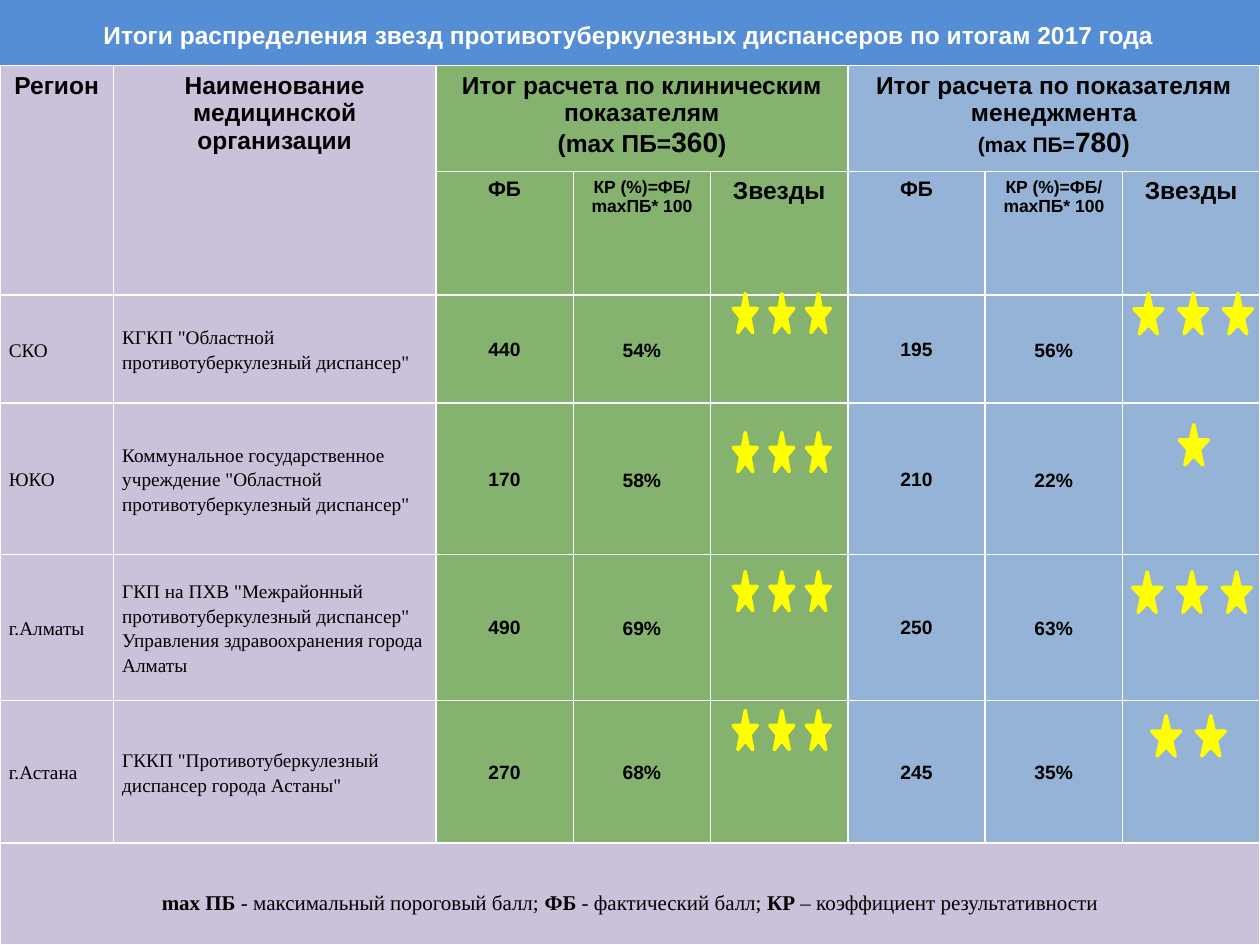
from lxml import etree
from pptx import Presentation, util as u
from pptx.dml.color import RGBColor
from pptx.enum import shapes, text
from pptx.oxml.ns import qn

COLORS = {"title": "558ED5", "region": "CCC1DA", "clinical": "85B26E",
          "management": "95B3D7", "star": "FFFF00", "white": "FFFFFF", "black": "000000"}
COLUMN_COLORS = ["region"] * 2 + ["clinical"] * 3 + ["management"] * 3

# Grid of 1000 columns by 750 rows; every length below counts its units
GRID_COLUMNS, GRID_ROWS = 1000, 750
COLUMN_WIDTHS = [90, 256] + [109] * 6
ROW_HEIGHTS = [84, 98, 86, 120, 116, 113, 81]

# Cell margins: left, top, right, bottom
HEADER_MARGINS = (10, 5, 10, 5)
TEXT_MARGINS = (7, 0, 7, 0)
SCORE_MARGINS = (1, 1, 1, 0)
LEGEND_MARGINS = (7, 13, 7, 0)

# Region, organisation, clinical score and share, management score and share
DISPENSARIES = [
    ("СКО", 'КГКП "Областной противотуберкулезный диспансер"', "440", "54%", "195", "56%"),
    ("ЮКО", 'Коммунальное государственное учреждение "Областной '
            'противотуберкулезный диспансер"', "170", "58%", "210", "22%"),
    ("г.Алматы", 'ГКП на ПХВ "Межрайонный противотуберкулезный диспансер" '
                 'Управления здравоохранения города Алматы', "490", "69%", "250", "63%"),
    ("г.Астана", 'ГККП "Противотуберкулезный диспансер города Астаны"',
     "270", "68%", "245", "35%"),
]
# Management stars: left, top, count
MANAGEMENT_STARS = [(900, 233, 3), (936, 337, 1), (899, 454, 3), (914, 568, 2)]


class RatingSlide:
    def __init__(self, prs):
        self.slide = prs.slides.add_slide(prs.slide_layouts[5])
        self.unit_x = prs.slide_width / GRID_COLUMNS
        self.unit_y = prs.slide_height / GRID_ROWS

    def x(self, columns):
        return u.Emu(round(columns * self.unit_x))

    def y(self, rows):
        return u.Emu(round(rows * self.unit_y))

    def box(self, left, top, width, height):
        return self.x(left), self.y(top), self.x(width), self.y(height)

    def paint(self, target, color):
        target.fill.solid()
        target.fill.fore_color.rgb = RGBColor.from_string(COLORS[color])

    def add_text(self, frame, paragraphs, size, font="Arial", bold=True, color="black",
                 align=text.PP_ALIGN.CENTER, spacing=None):
        """Each paragraph is a list of (words, size or None, bold or None)."""
        for index, parts in enumerate(paragraphs):
            paragraph = frame.paragraphs[0] if index == 0 else frame.add_paragraph()
            paragraph.alignment = align
            if spacing:
                paragraph.line_spacing = spacing
            for words, own_size, own_bold in parts:
                run = paragraph.add_run()
                run.text = words
                run.font.size = u.Pt(own_size or size)
                run.font.name = font
                run.font.bold = bold if own_bold is None else own_bold
                run.font.color.rgb = RGBColor.from_string(COLORS[color])

    def title(self, words, *place):
        title = self.slide.shapes.title
        title.left, title.top, title.width, title.height = self.box(*place)
        self.paint(title, "title")
        title.text_frame.vertical_anchor = text.MSO_ANCHOR.MIDDLE
        self.add_text(title.text_frame, [[(words, None, None)]], 14, color="white")

    def table(self, left, top):
        place = self.box(left, top, sum(COLUMN_WIDTHS), sum(ROW_HEIGHTS))
        table = self.slide.shapes.add_table(len(ROW_HEIGHTS), len(COLUMN_WIDTHS), *place).table
        table.first_row = table.horz_banding = False
        for column, width in zip(table.columns, COLUMN_WIDTHS):
            column.width = self.x(width)
        for row, height in zip(table.rows, ROW_HEIGHTS):
            row.height = self.y(height)
            for cell, color in zip(row.cells, COLUMN_COLORS):
                self.borders(cell)
                self.paint(cell, color)
        return table

    def borders(self, cell):
        properties = cell._tc.get_or_add_tcPr()
        for side in ("a:lnL", "a:lnR", "a:lnT", "a:lnB"):
            line = etree.SubElement(properties, qn(side), w=str(u.Pt(1)))
            fill = etree.SubElement(line, qn("a:solidFill"))
            etree.SubElement(fill, qn("a:srgbClr"), val=COLORS["white"])

    def cell(self, cell, paragraphs, size, margins=HEADER_MARGINS, middle=False, **style):
        left, top, right, bottom = margins
        cell.margin_left, cell.margin_right = self.x(left), self.x(right)
        cell.margin_top, cell.margin_bottom = self.y(top), self.y(bottom)
        cell.vertical_anchor = text.MSO_ANCHOR.MIDDLE if middle else text.MSO_ANCHOR.TOP
        if isinstance(paragraphs, str):
            paragraphs = [[(paragraphs, None, None)]]
        self.add_text(cell.text_frame, paragraphs, size, **style)

    def stars(self, left, top, count, pitch, width, height):
        parent = self.slide.shapes
        if count > 1:
            parent = parent.add_group_shape().shapes
        for index in range(count):
            star = parent.add_shape(shapes.MSO_SHAPE.STAR_5_POINT,
                                    *self.box(left + index * pitch, top, width, height))
            star.shadow.inherit = False
            self.paint(star, "star")
            star.line.color.rgb = RGBColor.from_string(COLORS["star"])
            star.line.width = u.Pt(2)


def main():
    prs = Presentation()
    prs.slide_width, prs.slide_height = u.Inches(10), u.Inches(7.5)
    page = RatingSlide(prs)
    page.title("Итоги распределения звезд противотуберкулезных диспансеров по итогам 2017 года",
               -2, 0, 1002, 55)
    table = page.table(0, 52)

    # Header: two tall cells, then two blocks of three columns
    for column, heading in enumerate(("Регион", "Наименование медицинской организации")):
        table.cell(0, column).merge(table.cell(1, column))
        page.cell(table.cell(0, column), heading, 14)
    blocks = [(2, "Итог расчета по клиническим показателям", "360", 14),
              (5, "Итог расчета по показателям менеджмента", "780", 12)]
    for first, heading, maximum, label_size in blocks:
        table.cell(0, first).merge(table.cell(0, first + 2))
        page.cell(table.cell(0, first), [
            [(heading, None, None)],
            [("(mах ПБ=", label_size, None), (maximum, 16, None), (")", None, None)]], 14)
        subheadings = (("ФБ", 12), ("КР (%)=ФБ/ mахПБ* 100", 10), ("Звезды", 14))
        for offset, (subheading, size) in enumerate(subheadings):
            page.cell(table.cell(1, first + offset), subheading, size)

    # Dispensaries
    for row, (region, organisation, *results) in enumerate(DISPENSARIES, start=2):
        for column, words in enumerate((region, organisation)):
            page.cell(table.cell(row, column), words, 11, TEXT_MARGINS, True,
                      font="Times New Roman", bold=False,
                      align=text.PP_ALIGN.LEFT, spacing=1.15)
        for first, score, share in ((2, *results[:2]), (5, *results[2:])):
            page.cell(table.cell(row, first), score, 11, SCORE_MARGINS, True)
            page.cell(table.cell(row, first + 1), share, 11, TEXT_MARGINS, True, spacing=1.15)

    # Legend
    legend = table.cell(6, 0)
    legend.merge(table.cell(6, 7))
    page.cell(legend, [[("mах ПБ ", None, True), ("- максимальный пороговый балл; ", None, False),
                        ("ФБ", None, True), (" - фактический балл; ", None, False),
                        ("КР", None, True), (" – коэффициент результативности", None, False)]],
              12, LEGEND_MARGINS, True, font="Times New Roman", spacing=1.15)

    # Stars
    for index, (left, top, count) in enumerate(MANAGEMENT_STARS):
        page.stars(582, 233 + index * 110.33, 3, 29, 19, 31)
        page.stars(left, top, count, 35.5, 23, 32)

    prs.save("out.pptx")


if __name__ == "__main__":
    main()
